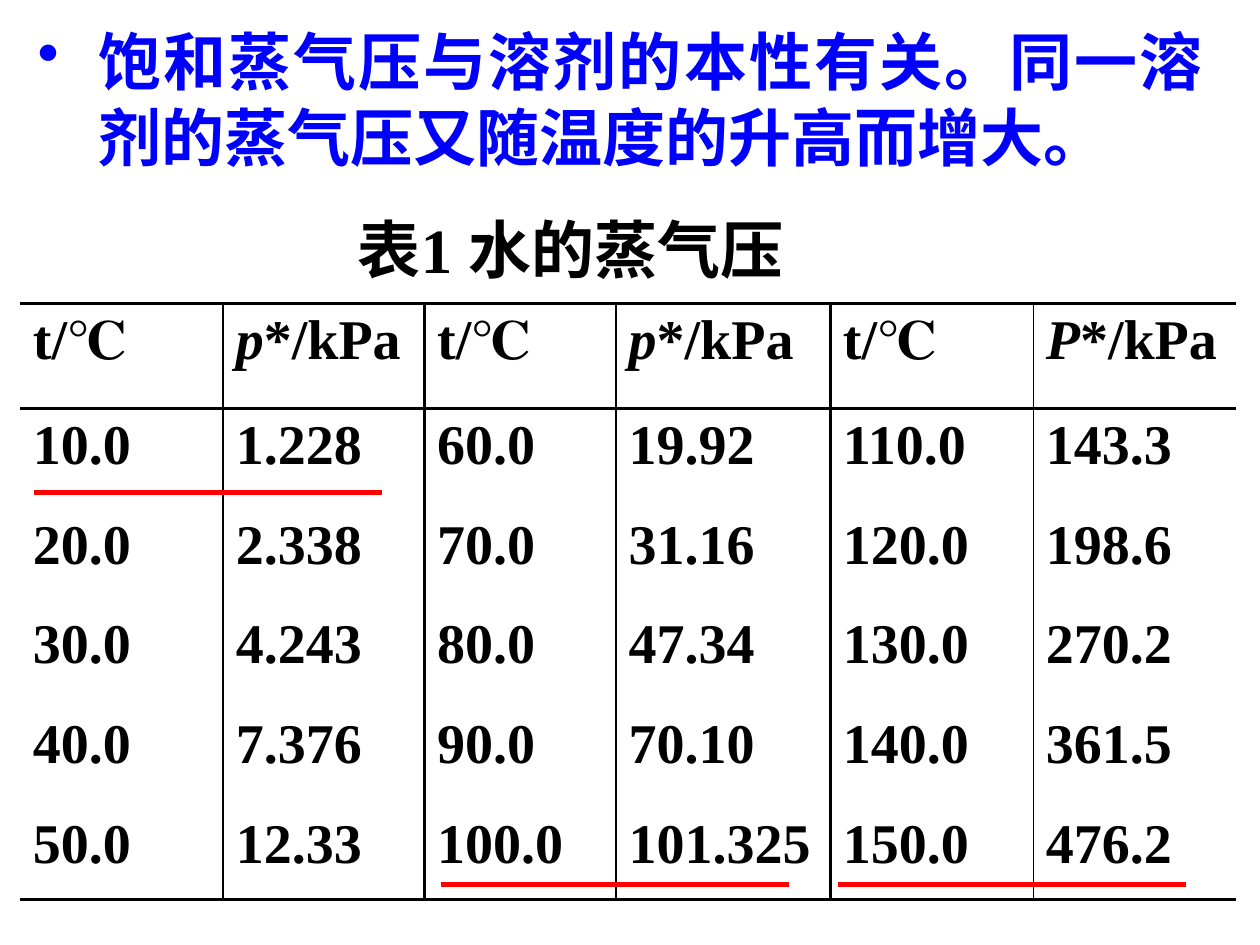
from lxml.etree import SubElement
from pptx import Presentation
from pptx.dml.color import RGBColor
from pptx.enum.shapes import MSO_CONNECTOR, MSO_SHAPE
from pptx.enum.text import MSO_ANCHOR, PP_ALIGN
from pptx.oxml.ns import qn
from pptx.util import Cm, Pt

BLACK = RGBColor(0, 0, 0)
WHITE = RGBColor(255, 255, 255)
BLUE = RGBColor(0, 0, 255)
RED = RGBColor(255, 0, 0)
FONT = "Times New Roman"
THIN, THICK = 1, 2.25

COL_WIDTHS = [4.09, 4.06, 3.86, 4.32, 4.09, 4.09]
ROW_HEIGHTS = [2.11, 2.01, 2.01, 2.01, 2.01, 1.87]
ROWS = [
    ["t/℃", "p*/kPa", "t/℃", "p*/kPa", "t/℃", "P*/kPa"],
    ["10.0", "1.228", "60.0", "19.92", "110.0", "143.3"],
    ["20.0", "2.338", "70.0", "31.16", "120.0", "198.6"],
    ["30.0", "4.243", "80.0", "47.34", "130.0", "270.2"],
    ["40.0", "7.376", "90.0", "70.10", "140.0", "361.5"],
    ["50.0", "12.33", "100.0", "101.325", "150.0", "476.2"],
]
UNDERLINES = [(0.69, 9.93), (8.89, 17.83), (16.89, 17.83)]
UNDERLINE_WIDTH = 7.01


def set_font(p, size, color):
    p.font.name = FONT
    p.font.size = Pt(size)
    p.font.bold = True
    p.font.color.rgb = color


def add_bullet_text(s, text):
    tf = s.shapes.add_textbox(Cm(0.51), Cm(0.33), Cm(24), Cm(3.3)).text_frame
    tf.word_wrap = True
    p = tf.paragraphs[0]
    p.text = text
    p.alignment = PP_ALIGN.JUSTIFY
    set_font(p, 36, BLUE)
    pPr = p._p.get_or_add_pPr()
    pPr.set("marL", str(Cm(1.22)))
    pPr.set("indent", str(Cm(-1.22)))
    bullet = pPr.makeelement(qn("a:buChar"), {"char": "•"})
    pPr.insert(0, bullet)


def add_caption(s, text):
    sp = s.shapes.add_shape(MSO_SHAPE.RECTANGLE, Cm(6.1), Cm(4.11), Cm(10.8), Cm(1.78))
    sp.shadow.inherit = False
    sp.fill.solid()
    sp.fill.fore_color.rgb = WHITE
    sp.line.fill.background()
    tf = sp.text_frame
    tf.word_wrap = True
    tf.vertical_anchor = MSO_ANCHOR.TOP
    p = tf.paragraphs[0]
    p.text = text
    p.alignment = PP_ALIGN.CENTER
    set_font(p, 36, BLACK)


def set_border(cell, side, width):
    """Draw one cell side (L, R, T or B); a width of 0 hides it."""
    ln = SubElement(cell._tc.get_or_add_tcPr(), qn(f"a:ln{side}"), w=str(Pt(width)))
    if width:
        fill = SubElement(ln, qn("a:solidFill"))
        SubElement(fill, qn("a:srgbClr"), val=str(BLACK))
    else:
        SubElement(ln, qn("a:noFill"))


def fill_cell(cell, text):
    p = cell.text_frame.paragraphs[0]
    set_font(p, 32, BLACK)
    if text.endswith("*/kPa"):
        r = p.add_run()
        r.text = text[0]
        r.font.italic = True
        text = text[1:]
    p.add_run().text = text
    cell.fill.solid()
    cell.fill.fore_color.rgb = WHITE


def add_pressure_table(s):
    n_rows, n_cols = len(ROWS), len(COL_WIDTHS)
    table = s.shapes.add_table(n_rows, n_cols, Cm(0.41), Cm(6.12),
                               Cm(sum(COL_WIDTHS)), Cm(sum(ROW_HEIGHTS))).table
    table.first_row = table.horz_banding = False
    for column, width in zip(table.columns, COL_WIDTHS):
        column.width = Cm(width)
    for row, height in zip(table.rows, ROW_HEIGHTS):
        row.height = Cm(height)

    # Thin rules split each t/p pair, thick rules separate the pairs
    vertical = [0] + [THIN if i % 2 else THICK for i in range(1, n_cols)] + [0]
    horizontal = [THICK if i in (0, 1, n_rows) else 0 for i in range(n_rows + 1)]
    for i, values in enumerate(ROWS):
        for j, text in enumerate(values):
            cell = table.cell(i, j)
            set_border(cell, "L", vertical[j])
            set_border(cell, "R", vertical[j + 1])
            set_border(cell, "T", horizontal[i])
            set_border(cell, "B", horizontal[i + 1])
            fill_cell(cell, text)


def add_underline(s, left, top):
    line = s.shapes.add_connector(MSO_CONNECTOR.STRAIGHT, Cm(left), Cm(top),
                                  Cm(left + UNDERLINE_WIDTH), Cm(top))
    line.line.color.rgb = RED
    line.line.width = Pt(3)
    SubElement(line._element.spPr, qn("a:effectLst"))


def main():
    prs = Presentation()
    prs.slide_width, prs.slide_height = Cm(25.4), Cm(19.05)
    s = prs.slides.add_slide(prs.slide_layouts[6])
    add_pressure_table(s)
    add_caption(s, "表1 水的蒸气压")
    add_bullet_text(s, "饱和蒸气压与溶剂的本性有关。同一溶剂的蒸气压又随温度的升高而增大。")
    for left, top in UNDERLINES:
        add_underline(s, left, top)
    prs.save("out.pptx")


if __name__ == "__main__":
    main()
